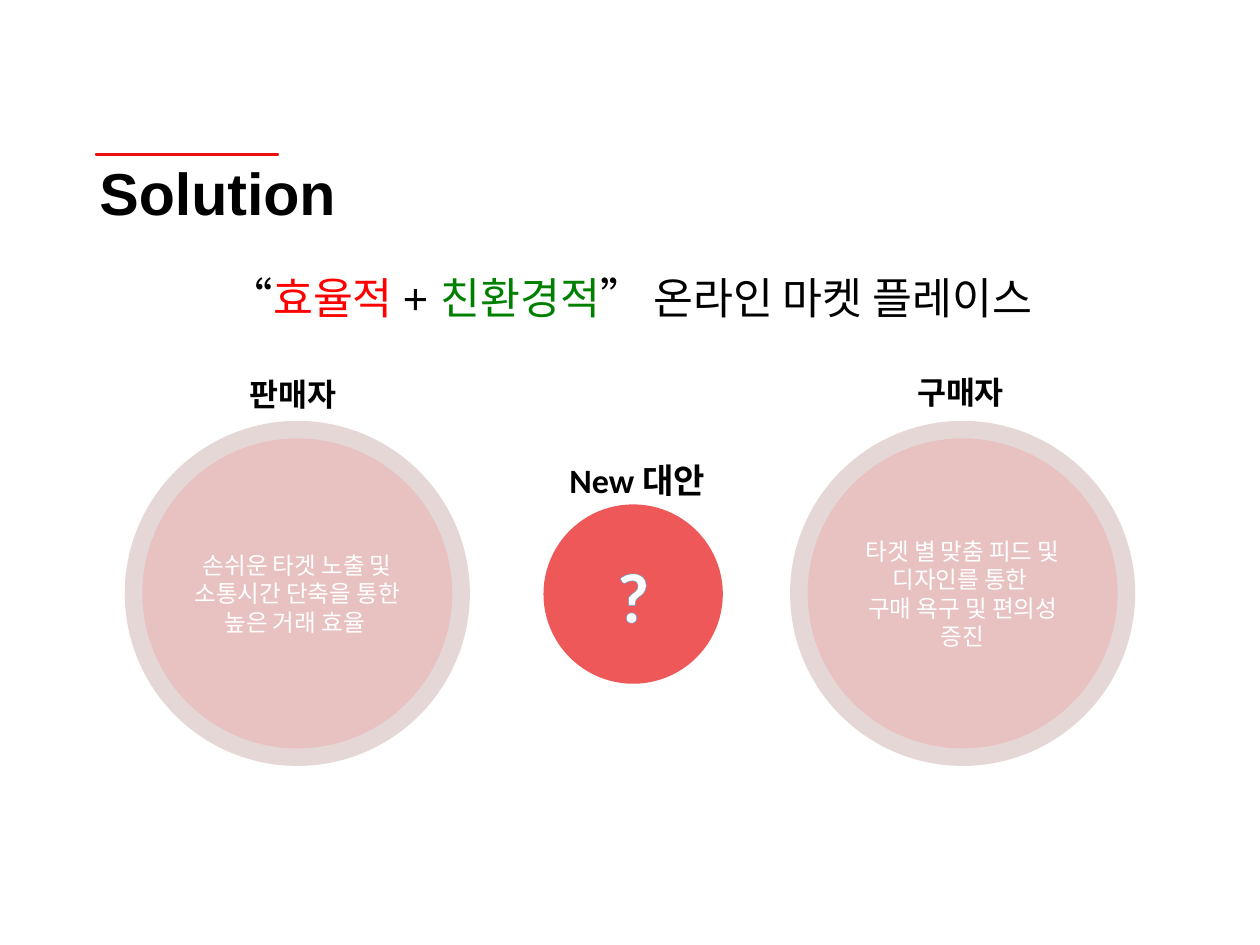
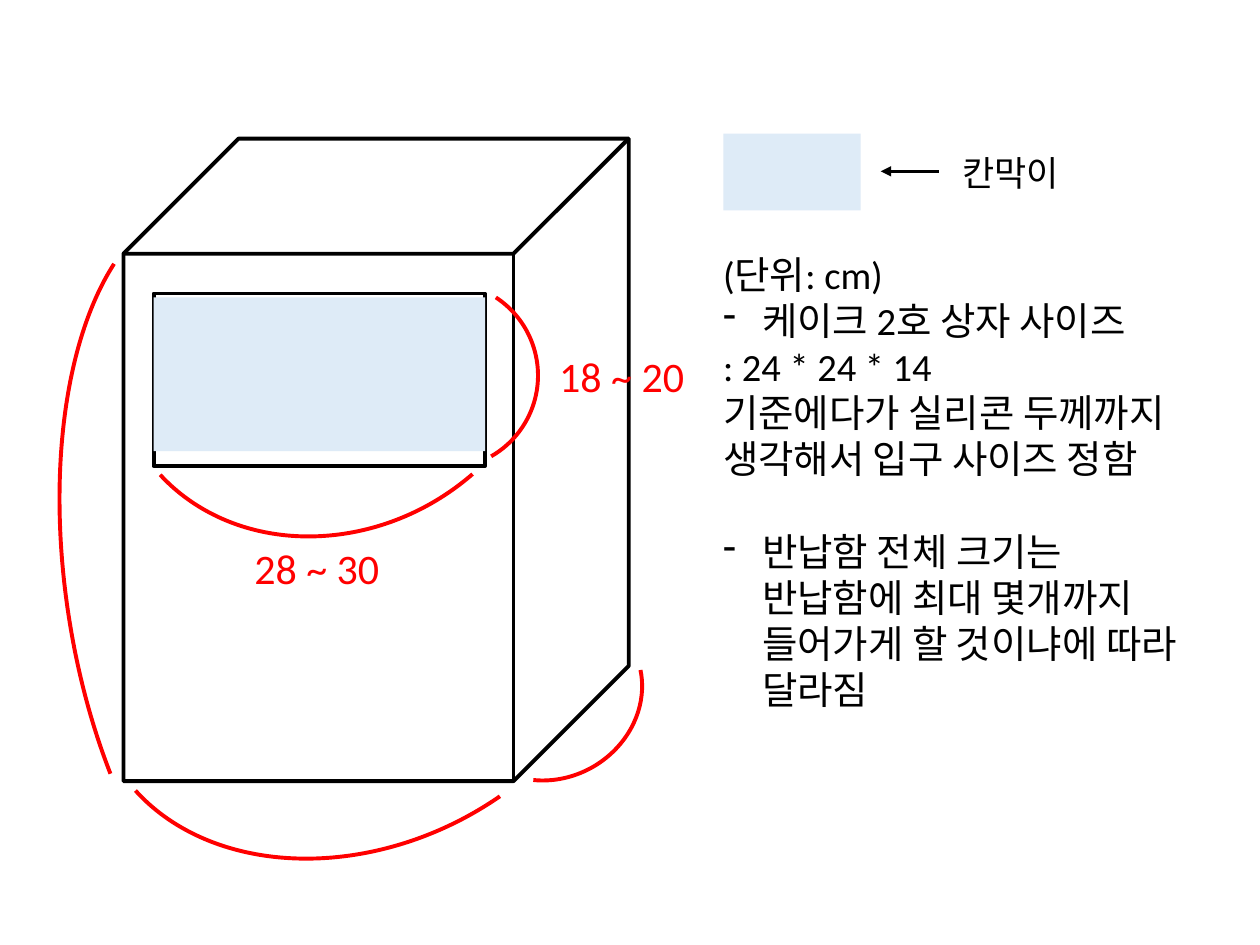
from lxml import etree
from pptx import Presentation
from pptx import util as u
from pptx.dml.color import RGBColor
from pptx.enum import shapes, text
from pptx.oxml import ns

rgb = RGBColor.from_string
BLACK, WHITE, RED, GREEN = "000000", "FFFFFF", "FF0000", "008000"
PANEL_BLUE, RING, DISC, CORAL = "DEEBF7", "E5D7D6", "E8C1C1", "EE5858"
KIND = shapes.MSO_SHAPE
CENTER = text.PP_ALIGN.CENTER


def draw(slide, kind, box, fill=None, line=None, width=1, adjust=()):
    shape = slide.shapes.add_shape(kind, *[u.Inches(v) for v in box])
    shape.shadow.inherit = False
    for index, value in enumerate(adjust):
        shape.adjustments[index] = value
    if fill:
        shape.fill.solid()
        shape.fill.fore_color.rgb = rgb(fill)
    else:
        shape.fill.background()
    if line:
        shape.line.color.rgb = rgb(line)
        shape.line.width = u.Pt(width)
    else:
        shape.line.fill.background()
    return shape


def write(shape, lines, size, color=BLACK, font="Calibri", bold=False, align=None):
    frame = shape.text_frame
    frame.word_wrap = True
    frame.text = "\n".join(lines)
    for paragraph in frame.paragraphs:
        paragraph.alignment = align
        for run in paragraph.runs:
            run.font.size = u.Pt(size)
            run.font.name = font
            run.font.bold = bold
            run.font.color.rgb = rgb(color)
    return frame


deck = Presentation()
deck.slide_width, deck.slide_height = u.Inches(10), u.Inches(7.5)
solution, box_plan = [deck.slides.add_slide(deck.slide_layouts[6]) for _ in range(2)]

heading = solution.shapes.add_textbox(*[u.Inches(v) for v in (0.69, 1.24, 8.62, 0.63)])
heading_frame = write(heading, ["Solution"], 33.8, font="Arial", bold=True)
heading_frame.vertical_anchor = text.MSO_ANCHOR.MIDDLE
heading_frame.paragraphs[0].line_spacing = 0.9
draw(solution, KIND.MATH_MINUS, (0.5, 1.21, 1.97, 0.03), "ED0E0F", "ED0E0F", 1, [0.235])

benefits = [
    (1.06, ["손쉬운 타겟 노출 및 소통시간 단축을 통한 높은 거래 효율 "]),
    (6.34, ["타겟 별 맞춤 피드 및 디자인를 통한 ", "구매 욕구 및 편의성 증진"]),
]
for left, lines in benefits:
    circle = draw(solution, KIND.OVAL, (left, 3.41, 2.6, 2.6), DISC, RING, 10)
    write(circle, lines, 13.5, WHITE, "Arial", align=CENTER)
draw(solution, KIND.OVAL, (4.32, 4.01, 1.41, 1.41), CORAL, CORAL)

labels = [
    ((4.42, 3.6, 1.5, 0.43), "New 대안", 19.5),
    ((1.88, 2.93, 1.04, 0.4), "판매자", 18),
    ((7.18, 2.91, 1.04, 0.4), "구매자", 18),
]
for place, label, size in labels:
    write(solution.shapes.add_textbox(*[u.Inches(v) for v in place]), [label], size, bold=True)

question = solution.shapes.add_textbox(*[u.Inches(v) for v in (4.82, 4.34, 0.41, 0.76)])
slogan = solution.shapes.add_textbox(*[u.Inches(v) for v in (0.69, 2.16, 8.64, 0.61)])
for tight in (question.text_frame, slogan.text_frame):
    tight.margin_left = tight.margin_right = u.Inches(0.07)
    tight.margin_top = tight.margin_bottom = u.Inches(0.04)

question_frame = write(question, ["?"], 40.5, WHITE, bold=True, align=CENTER)
question_frame.word_wrap = False
question_properties = question_frame.paragraphs[0].runs[0].font._element
outline = etree.Element(ns.qn("a:ln"), w=str(u.Pt(0.8)))
outline_fill = etree.SubElement(outline, ns.qn("a:solidFill"))
etree.SubElement(outline_fill, ns.qn("a:srgbClr"), val="5B9BD5")
question_properties.insert(0, outline)

slogan.text_frame.word_wrap = True
slogan_line = slogan.text_frame.paragraphs[0]
slogan_line.alignment = CENTER
slogan_line.line_spacing = 0.9
slogan_parts = [("“", BLACK), ("효율적", RED), (" + ", BLACK), ("친환경적", GREEN),
                ("” 온라인 마켓 플레이스", BLACK)]
for words, color in slogan_parts:
    run = slogan_line.add_run()
    run.text = words
    run.font.size = u.Pt(24.8)
    run.font.name = "Arial"
    run.font.color.rgb = rgb(color)

draw(box_plan, KIND.CUBE, (0.98, 1.1, 4.01, 5.1), None, BLACK, 2.25, [0.228])
draw(box_plan, KIND.RECTANGLE, (1.22, 2.33, 2.63, 1.37), None, BLACK, 2.25)

TALL_SWEEP, WIDE_SWEEP = (171.064, 25.243), (153.438, 210.085)
measure_arcs = [
    ((0.85, 1.05, 3.59, 3.15), 150.1, WIDE_SWEEP, False),
    ((0.53, 1.56, 3.06, 6.23), 351, TALL_SWEEP, True),
    ((2.79, 2.24, 1.48, 1.48), 18.1, TALL_SWEEP, False),
    ((0.64, 3.28, 4.41, 3.43), 154, WIDE_SWEEP, False),
    ((3.71, 4.77, 1.33, 1.48), 59.7, TALL_SWEEP, False),
]
for place, turn, sweep, mirrored in measure_arcs:
    arc = draw(box_plan, KIND.ARC, place, None, RED, 2.25, sweep)
    arc.rotation = turn
    if mirrored:
        arc._element.spPr.find(ns.qn("a:xfrm")).set("flipH", "1")

for left, top, measure in [(4.34, 2.73, "18 ~ 20"), (1.92, 4.26, "28 ~ 30")]:
    dimension = box_plan.shapes.add_textbox(*[u.Inches(v) for v in (left, top, 1.97, 0.5)])
    write(dimension, [measure], 24, RED)

for place in [(1.22, 2.36, 2.63, 1.22), (5.74, 1.06, 1.09, 0.61)]:
    draw(box_plan, KIND.RECTANGLE, place, PANEL_BLUE)

notes = box_plan.shapes.add_textbox(*[u.Inches(v) for v in (5.64, 1.94, 3.84, 4.17)])
notes_frame = write(notes, [
    "(단위: cm)",
    "케이크 2호 상자 사이즈",
    ": 24 * 24 * 14",
    "기준에다가 실리콘 두께까지 생각해서 입구 사이즈 정함",
    "반납함 전체 크기는 반납함에 최대 몇개까지 들어가게 할 것이냐에 따라 달라짐",
], 22)
for index in (1, 4):
    properties = notes_frame.paragraphs[index]._p.get_or_add_pPr()
    properties.set("marL", str(u.Inches(0.31)))
    properties.set("indent", str(-u.Inches(0.31)))
    etree.SubElement(properties, ns.qn("a:buChar"), char="-")
notes_frame.paragraphs[4].space_before = u.Pt(26.5)

pointer = box_plan.shapes.add_connector(
    shapes.MSO_CONNECTOR.STRAIGHT, *[u.Inches(v) for v in (7.45, 1.36, 6.99, 1.36)])
pointer.line.color.rgb = rgb(BLACK)
pointer.line.width = u.Pt(1.5)
etree.SubElement(pointer.line._get_or_add_ln(), ns.qn("a:tailEnd"), type="triangle")
etree.SubElement(pointer._element.spPr, ns.qn("a:effectLst"))

divider = box_plan.shapes.add_textbox(*[u.Inches(v) for v in (7.54, 1.15, 1.24, 0.44)])
write(divider, ["칸막이"], 20)

deck.save("out.pptx")
